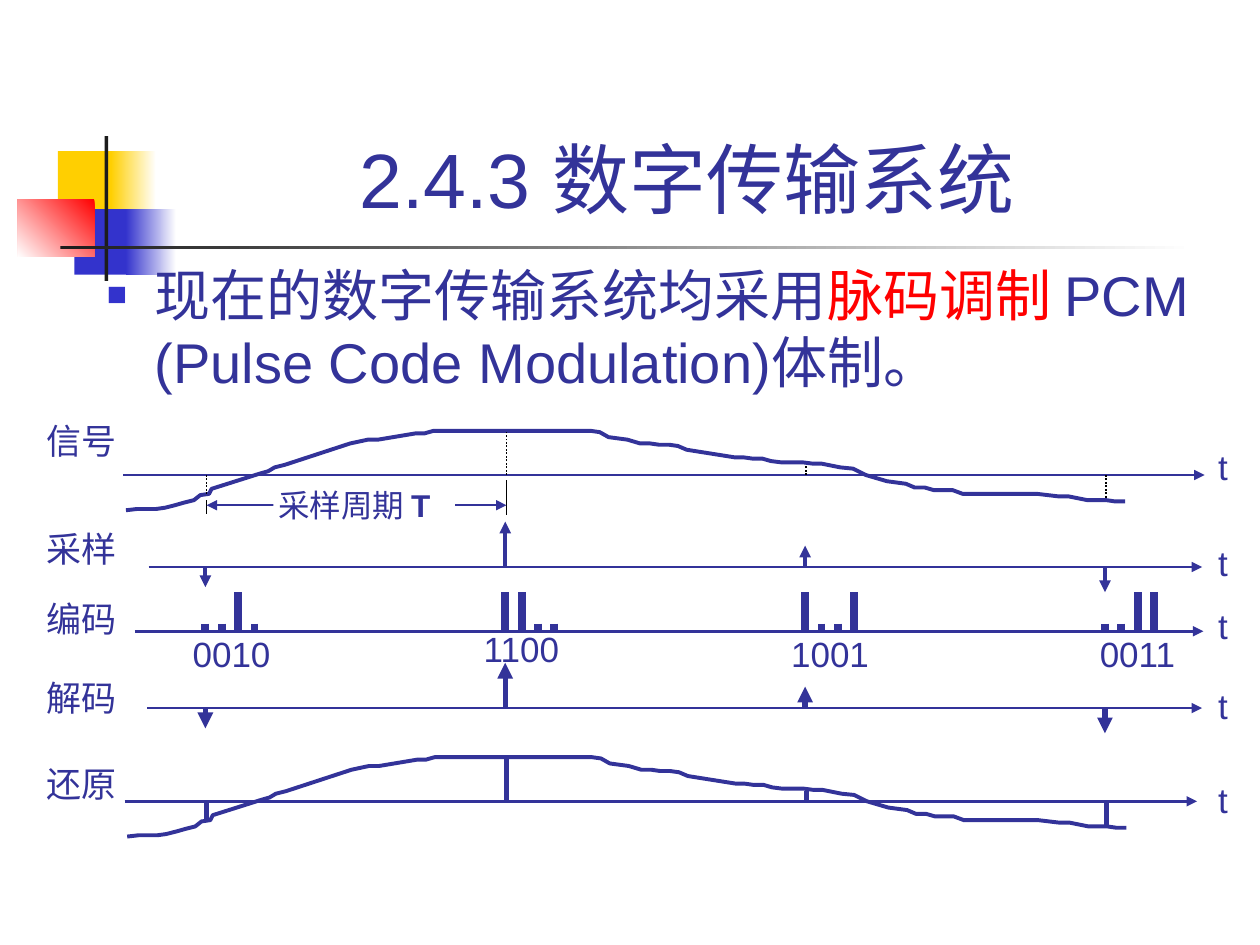
from lxml import etree
from pptx import Presentation
from pptx.dml.color import RGBColor
from pptx.enum.dml import MSO_LINE
from pptx.enum.shapes import MSO_CONNECTOR, MSO_SHAPE
from pptx.enum.text import MSO_ANCHOR, MSO_AUTO_SIZE, PP_ALIGN
from pptx.oxml.ns import qn
from pptx.util import Inches, Pt

STRAIGHT = MSO_CONNECTOR.STRAIGHT
RECTANGLE = MSO_SHAPE.RECTANGLE
DOTTED = MSO_LINE.ROUND_DOT
INK = RGBColor(0x33, 0x33, 0x99)
BLUE = RGBColor(0x33, 0x33, 0xCC)
YELLOW = RGBColor(0xFF, 0xCF, 0x01)
RED = RGBColor(0xFF, 0x00, 0x00)
NEAR_BLACK = RGBColor(0x1C, 0x1C, 0x1C)
BLACK = RGBColor(0, 0, 0)
WHITE = RGBColor(0xFF, 0xFF, 0xFF)

prs = Presentation()
prs.slide_width, prs.slide_height = Inches(10), Inches(7.5)
slide = prs.slides.add_slide(prs.slide_layouts[5])
shapes = slide.shapes


def add_line(x1, y1, x2, y2, width, color=INK, dash=None, ends=()):
    """Draw a straight line; ends names the arrowheads, "headEnd" before "tailEnd"."""
    line = shapes.add_connector(STRAIGHT, Inches(x1), Inches(y1), Inches(x2), Inches(y2))
    line.line.width = Pt(width)
    line.line.color.rgb = color
    if dash:
        line.line.dash_style = dash
    outline = line.line._get_or_add_ln()
    for end in ends:
        etree.SubElement(outline, qn("a:" + end), type="triangle")
    etree.SubElement(line._element.spPr, qn("a:effectLst"))


def add_label(text, left, top, width, size=20, font="Arial"):
    box = shapes.add_textbox(Inches(left), Inches(top), Inches(width), Inches(0.43))
    box.text_frame.word_wrap = False
    paragraph = box.text_frame.paragraphs[0]
    paragraph.text = text
    paragraph.font.size = Pt(size)
    paragraph.font.name = font
    paragraph.font.color.rgb = INK
    return paragraph


# Corner ornament: left, top, width, height, first colour, second colour, angle
ornament = [
    (0.46, 1.2, 0.48, 0.52, YELLOW, None, 0),
    (0.88, 1.2, 0.36, 0.52, YELLOW, WHITE, 0),
    (0.59, 1.66, 0.46, 0.52, BLUE, None, 0),
    (1, 1.66, 0.4, 0.52, BLUE, WHITE, 0),
    (0.14, 1.58, 0.61, 0.46, RED, WHITE, 225),
    (0.83, 1.08, 0.03, 1.15, NEAR_BLACK, None, 0),
    (0.48, 1.95, 9, 0.03, NEAR_BLACK, WHITE, 0),
]
for left, top, width, height, first, second, angle in ornament:
    block = shapes.add_shape(RECTANGLE, Inches(left), Inches(top), Inches(width), Inches(height))
    block.shadow.inherit = False
    block.line.fill.background()
    if second is None:
        block.fill.solid()
        block.fill.fore_color.rgb = first
    else:
        block.fill.gradient()
        block.fill.gradient_angle = angle
        for stop, color, position in zip(block.fill.gradient_stops, (first, second), (0, 1)):
            stop.color.rgb = color
            stop.position = position

# Title
title = shapes.title
title.left, title.top, title.width, title.height = map(Inches, (1.26, 0.23, 8.52, 1.6))
title.text_frame.auto_size = MSO_AUTO_SIZE.NONE
title.text_frame.vertical_anchor = MSO_ANCHOR.BOTTOM
heading = title.text_frame.paragraphs[0]
heading.text = "2.4.3 数字传输系统 "
heading.alignment = PP_ALIGN.CENTER
heading.font.size = Pt(44)
heading.font.name = "Arial"
heading.font.color.rgb = INK

# Statement with a square bullet
statement_box = shapes.add_textbox(Inches(0.75), Inches(2.02), Inches(9.06), Inches(1.27))
statement_box.text_frame.word_wrap = True
statement = statement_box.text_frame.paragraphs[0]
for words, color in [("现在的数字传输系统均采用", INK), ("脉码调制 ", RED),
                     ("PCM (Pulse Code Modulation)体制。", INK)]:
    run = statement.add_run()
    run.text = words
    run.font.color.rgb = color
statement.font.size = Pt(32)
statement.font.name = "Arial"
statement.space_before = Pt(9)
properties = statement._p.get_or_add_pPr()
properties.set("marL", str(Inches(0.38)))
properties.set("indent", str(-Inches(0.38)))
bullet_color = etree.Element(qn("a:buClr"))
etree.SubElement(bullet_color, qn("a:srgbClr"), val=str(BLUE))
bullet = [
    bullet_color,
    etree.Element(qn("a:buSzPct"), val="60000"),
    etree.Element(qn("a:buFont"), typeface="Arial"),
    etree.Element(qn("a:buChar"), char="■"),
]
after_spacing = properties.index(properties.find(qn("a:spcBef"))) + 1
properties[after_spacing:after_spacing] = bullet

# Stages: name, name top, name font, axis start, axis end, axis height, top of "t"
stages = [
    ("信号", 3.28, "Times New Roman", 0.98, 9.56, 3.77, 3.49),
    ("采样", 4.14, "Arial", 1.18, 9.54, 4.5, 4.25),
    ("编码", 4.69, "Arial", 1.07, 9.55, 5.01, 4.75),
    ("解码", 5.32, "Arial", 1.17, 9.54, 5.62, 5.38),
    ("还原", 6, "Arial", 0.99, 9.5, 6.36, 6.13),
]
for name, name_top, font, start, end, axis, t_top in stages:
    add_line(start, axis, end, axis, 1.5, ends=["tailEnd"])
    add_label(name, 0.27, name_top, 0.76, font=font)
    add_label("t", 9.57, t_top, 0.28)
signal_axis, sample_axis, code_axis, decode_axis, restored_axis = [stage[5] for stage in stages]

# Waveform in hundredths of an inch: x, and y below the axis
WAVE = [
    (100, 28), (109, 27), (124, 27), (131, 26), (139, 24), (146, 22), (154, 20), (159, 16),
    (166, 15), (168, 11), (206, -1), (213, -3), (218, -6), (226, -8), (278, -25), (292, -28),
    (300, -28), (330, -33), (337, -33), (344, -35), (469, -35), (476, -34), (483, -30),
    (498, -28), (508, -25), (516, -25), (523, -24), (531, -24), (538, -23), (545, -20),
    (583, -14), (590, -14), (597, -13), (605, -13), (612, -11), (620, -10), (637, -10),
    (645, -9), (652, -9), (667, -6), (677, -5), (687, 0), (704, 5), (719, 7), (726, 10),
    (734, 10), (741, 12), (756, 12), (764, 15), (823, 15), (840, 17), (848, 17), (863, 20),
    (878, 20), (885, 21), (893, 21),
]
for axis, shift in [(signal_axis, 0), (restored_axis, 1)]:
    points = [(x + shift, round(axis * 100) + y) for x, y in WAVE]
    builder = shapes.build_freeform(*points[0], scale=Inches(0.01))
    builder.add_line_segments(points[1:], close=False)
    wave = builder.convert_to_shape()
    wave.shadow.inherit = False
    wave.fill.background()
    wave.line.color.rgb = INK
    wave.line.width = Pt(2.25)

# Four sampling instants: code, top of code, wave level and pulse length below the axis
FIRST_INSTANT, PERIOD, BIT_STEP = 1.63, 2.38, 0.13
samples = [
    ("0010", 1.43, 4.97, 0.15, 0.16),
    ("1100", 3.74, 4.93, -0.35, -0.36),
    ("1001", 6.18, 4.97, -0.08, -0.17),
    ("0011", 8.63, 4.97, 0.19, 0.2),
]
for number, (code, code_left, code_top, level, pulse) in enumerate(samples):
    x = FIRST_INSTANT + number * PERIOD
    add_line(x + 0.01, signal_axis, x + 0.01, signal_axis + level, 1, BLACK, DOTTED)
    add_line(x, sample_axis, x, sample_axis + pulse, 2.25, ends=["tailEnd"])
    add_line(x, decode_axis, x, decode_axis + pulse, 3, ends=["tailEnd"])
    add_line(x + 0.01, restored_axis, x + 0.01, restored_axis + level, 3)
    for place, bit in enumerate(code):
        bar_x = x + place * BIT_STEP
        bar_height = 0.31 if bit == "1" else 0.06
        add_line(bar_x, code_axis - bar_height, bar_x, code_axis, 4.5)
    add_label(code, code_left, code_top, 0.82)

# Sampling period between the first two instants
period_start, period_end = 1.64, 4.02
add_line(period_start, 3.97, period_start, 4.08, 1, BLACK)
add_line(period_end, 3.81, period_end, 4.09, 1, BLACK)
add_line(period_start, 4.01, period_end, 4.01, 1, ends=["headEnd", "tailEnd"])
gap = shapes.add_shape(RECTANGLE, Inches(2.17), Inches(3.91), Inches(1.44), Inches(0.19))
gap.shadow.inherit = False
gap.fill.solid()
gap.fill.fore_color.rgb = WHITE
gap.line.fill.background()
period_label = add_label("采样周期 ", 2.11, 3.81, 1.54, size=18)
symbol = period_label.add_run()
symbol.text = "T"
symbol.font.bold = True

prs.save("out.pptx")
